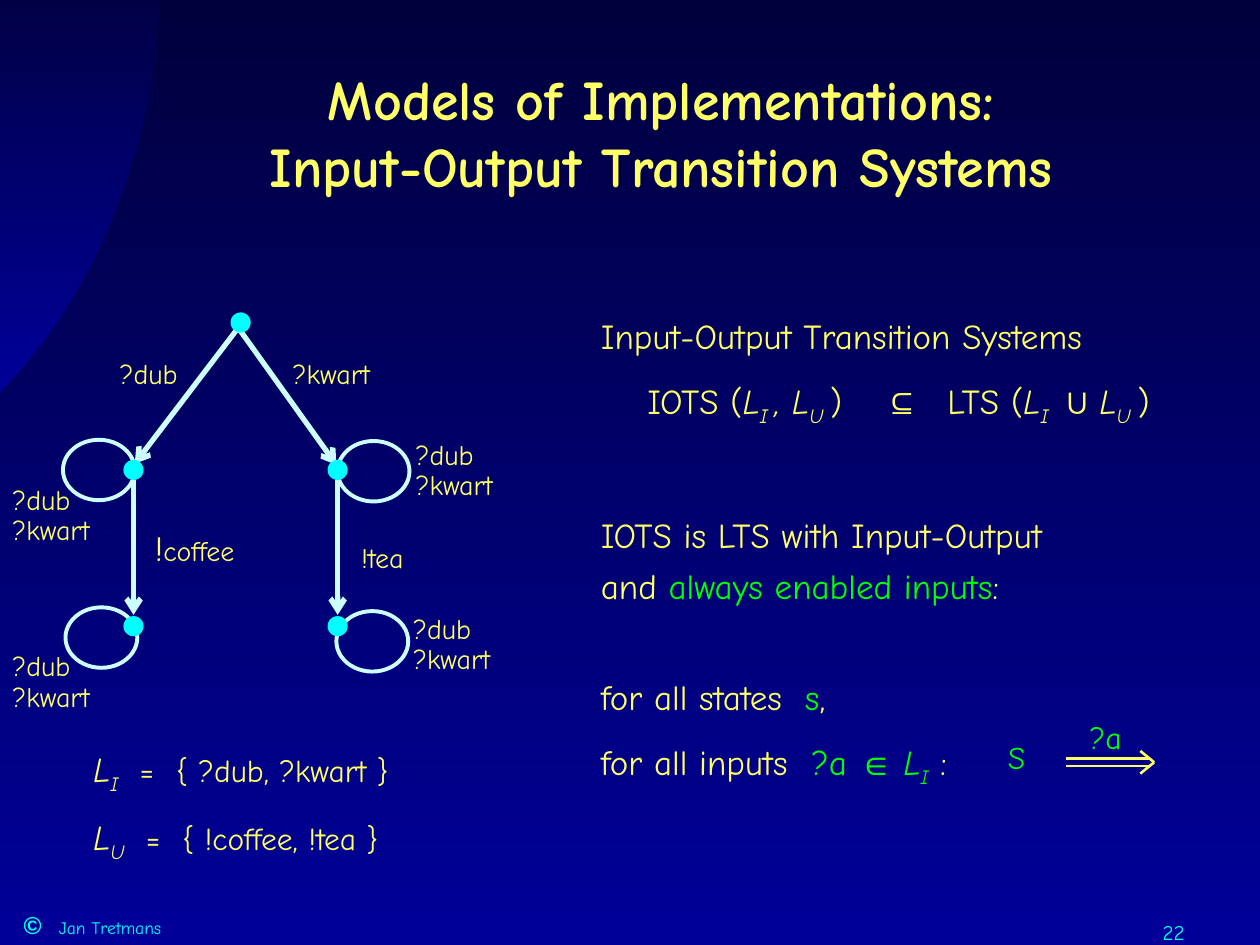
from lxml import etree
from pptx import Presentation
from pptx.dml.color import RGBColor
from pptx.enum.shapes import MSO_CONNECTOR, MSO_SHAPE
from pptx.enum.text import MSO_ANCHOR, PP_ALIGN
from pptx.oxml.ns import qn
from pptx.util import Inches, Pt

LINE = MSO_CONNECTOR.STRAIGHT
OVAL = MSO_SHAPE.OVAL
DOT = MSO_SHAPE.FLOWCHART_CONNECTOR
TOP, MID = MSO_ANCHOR.TOP, MSO_ANCHOR.MIDDLE
LEFT, CENTER, RIGHT = PP_ALIGN.LEFT, PP_ALIGN.CENTER, PP_ALIGN.RIGHT

YELLOW, GREEN, CYAN, PALE = "FFFF66", "00FF00", "00FFFF", "CCFFFF"
SUB = {"base": -25, "italic": True}
ITAL = {"italic": True}
SYM = {"face": "Arial"}
LIME = {"hue": GREEN}


def color(code):
    return RGBColor.from_string(code)


def shade(fill, first, last):
    fill.gradient()
    fill.gradient_angle = 270
    for stop, code, place in zip(fill.gradient_stops, (first, last), (0, 1)):
        stop.color.rgb = color(code)
        stop.position = place


class Deck:
    face = "Comic Neue"

    def __init__(self, show):
        self.slide = show.slides.add_slide(show.slide_layouts[6])
        self.shapes = self.slide.shapes
        shade(self.slide.background.fill, "00003C", "000099")

    def corner(self, ends):
        points = []
        for step in range(33):
            t = step / 32
            parts = ((1 - t) ** 3, 3 * t * (1 - t) ** 2, 3 * t * t * (1 - t), t ** 3)
            points.append(tuple(
                Inches(sum(w * p[axis] for w, p in zip(parts, ends)))
                for axis in (0, 1)))
        form = self.shapes.build_freeform(0, 0, scale=1.0)
        form.add_line_segments(points, close=True)
        shape = form.convert_to_shape()
        shape.shadow.inherit = False
        shape.line.fill.background()
        shade(shape.fill, "000047", "000099")

    def shape(self, kind, x, y, w, h, fill=None, line=None):
        shape = self.shapes.add_shape(kind, Inches(x), Inches(y), Inches(w), Inches(h))
        shape.shadow.inherit = False
        if fill:
            shape.fill.solid()
            shape.fill.fore_color.rgb = color(fill)
        else:
            shape.fill.background()
        if line:
            shape.line.color.rgb = color(line)
            shape.line.width = Pt(2.25)
        else:
            shape.line.fill.background()

    def line(self, start, end, hue, width, arrow=False):
        line = self.shapes.add_connector(LINE, *map(Inches, start + end))
        line.line.color.rgb = color(hue)
        line.line.width = Pt(width)
        if arrow:
            tail = etree.SubElement(line.line._get_or_add_ln(), qn("a:tailEnd"))
            tail.set("type", "arrow")
        etree.SubElement(line._element.spPr, qn("a:effectLst"))

    def text(self, x, y, w, h, paras, size, hue=YELLOW, align=LEFT,
             anchor=TOP, bold=False, lead=None):
        frame = self.shapes.add_textbox(
            Inches(x), Inches(y), Inches(w), Inches(h)).text_frame
        frame.word_wrap = True
        frame.vertical_anchor = anchor
        for num, (runs, gap, tabs) in enumerate(paras):
            para = frame.paragraphs[0] if num == 0 else frame.add_paragraph()
            if tabs:
                stops = etree.SubElement(para._p.get_or_add_pPr(), qn("a:tabLst"))
                for place in tabs:
                    etree.SubElement(stops, qn("a:tab"),
                                     pos=str(Inches(place)), algn="l")
            para.alignment = align
            para.space_before = Pt(gap)
            if lead:
                para.line_spacing = lead
            for words, style in runs:
                self.run(para, words, {"size": size, "hue": hue, "bold": bold, **style})

    def run(self, para, words, style):
        run = para.add_run()
        run.text = words
        font = run.font
        font.name = style.get("face", self.face)
        font.size = Pt(style["size"])
        font.bold = style["bold"]
        font.italic = style.get("italic", False)
        font.color.rgb = color(style["hue"])
        if "base" in style:
            run._r.get_or_add_rPr().set("baseline", str(style["base"] * 1000))

    def label(self, x, y, w, h, *lines, size=16, **style):
        self.text(x, y, w, h, [([(words, {})], 0, ()) for words in lines], size, **style)


def frame(deck):
    deck.corner([(0, 0), (0, 0), (0, 0), (0, 0)][:0]
                + [(0, 3.11), (0.76, 2.34), (1.22, 1.2), (1.27, 0)])


def tree(deck):
    cols, rows = (1.06, 2.68), (3.73, 4.97)
    for x, y in ((2.68, 3.5), (0.5, 3.49), (0.52, 4.82), (2.67, 4.85)):
        deck.shape(OVAL, x, y, 0.57, 0.48, line=PALE)
    for x, y in ((3.2, 3.45), (3.18, 4.83), (0, 3.81), (0, 5.13)):
        deck.label(x, y, 1, 0.58, "?dub", "?kwart", anchor=MID, lead=0.9)
    deck.line((1.93, 2.55), (1.07, 3.68), PALE, 3, True)
    deck.line((1.89, 2.6), (2.67, 3.69), PALE, 3, True)
    for x in cols:
        deck.line((x, 3.81), (x, 4.88), PALE, 3, True)
    for x, y in [(1.91, 2.56)] + [(x, y) for x in cols for y in rows]:
        deck.shape(DOT, x - 0.08, y - 0.08, 0.16, 0.16, fill=CYAN)
    for x, y, w, words in ((0.68, 2.73, 1, "?dub"), (2.13, 2.73, 1, "?kwart"),
                           (2.65, 4.19, 0.77, "!tea")):
        deck.label(x, y, w, 0.42, words, align=CENTER, anchor=MID, lead=1.2)
    deck.text(1.13, 4.06, 0.93, 0.5, [([("!", {"size": 20}), ("coffee", {})], 0, ())],
              16, anchor=MID, lead=1.2)


def sets(deck):
    rows = (("I", "{ ?dub, ?kwart }", 0, (0.37, 0.66)),
            ("U", "{ !coffee, !tea }", 14.9, (0.42, 0.71)))
    paras = [([("L", {"size": 20, **ITAL}), (low, {"size": 20, **SUB}),
               ("\t=\t" + words, {})], gap, tabs) for low, words, gap, tabs in rows]
    deck.text(0.64, 5.93, 3, 1.02, paras, 18, lead=Pt(24))


def body(deck):
    paras = [
        ([("Input-Output Transition Systems", {})], 0, ()),
        ([("\tIOTS (", {}), ("L", ITAL), ("I ", SUB), (", L", ITAL), ("U ", SUB),
          (")\t", {}), ("⊆", SYM), ("\tLTS (", {}), ("L", ITAL), ("I", SUB),
          ("\t", {}), ("∪ ", SYM), ("L", ITAL), ("U ", SUB), (")", {})],
         20.6, (0.37, 2.25, 2.75, 3.68)),
        ([("IOTS is LTS with Input-Output", {})], 53.1, ()),
        ([("and ", {}), ("always enabled inputs", LIME), (":", {})], 9.1, ()),
        ([("for all states\t", {}), ("s", LIME), (",", {})], 43.4, (1.62,)),
        ([("for all inputs\t", {}), ("?a ", LIME), ("∈ ", {**SYM, **LIME}),
          ("L", {**ITAL, **LIME}), ("I", {**SUB, **LIME}), (" :", {})], 20.6, (1.67,)),
    ]
    deck.text(4.67, 2.5, 4.95, 3.8, paras, 20, lead=Pt(20))


def step(deck):
    deck.label(7.9, 5.81, 0.4, 0.4, "S", size=18, hue=GREEN)
    deck.label(8.55, 5.65, 0.54, 0.4, "?a", size=18, hue=GREEN)
    for y in (6.02, 6.08):
        deck.line((8.46, y), (9.12, y), YELLOW, 1.5)
    for y in (5.96, 6.14):
        deck.line((9.16, 6.05), (9.05, y), YELLOW, 1.5)


def main():
    show = Presentation()
    show.slide_width, show.slide_height = Inches(10), Inches(7.5)
    deck = Deck(show)
    deck.corner([(0, 3.11), (0.76, 2.34), (1.22, 1.2), (1.27, 0)])
    deck.text(0.09, 7.17, 4.9, 0.33,
              [([("©", {**SYM, "size": 14, "bold": True}), ("\tJan Tretmans", {})],
                0, (0.28,))], 10, hue=CYAN)
    deck.label(8.58, 7.25, 0.92, 0.25, "22", size=12, hue=CYAN, align=RIGHT)
    deck.label(1, 0.42, 8.5, 1.25, "Models of Implementations:",
               "Input-Output Transition Systems", size=32, bold=True,
               align=CENTER, anchor=MID)
    for part in (tree, sets, body, step):
        part(deck)
    show.save("out.pptx")


if __name__ == "__main__":
    main()
